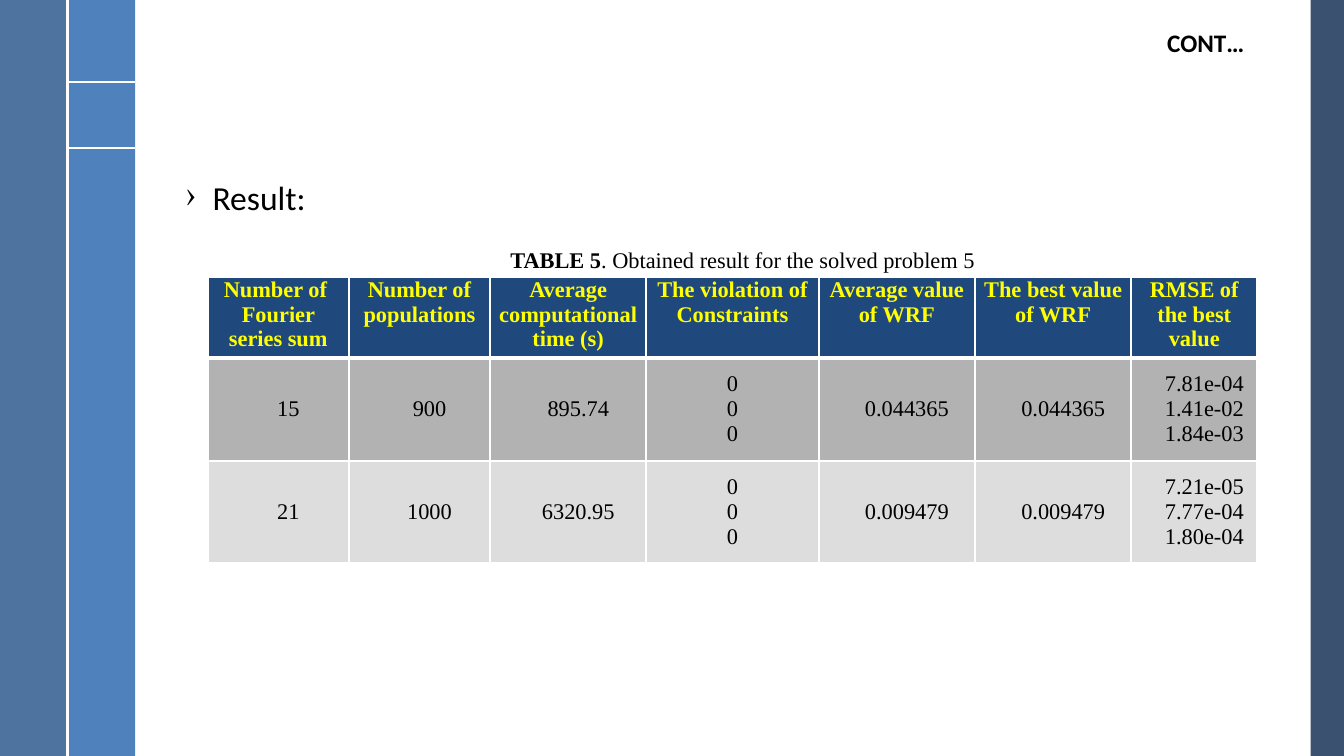
"""Build the result slide with a side band, a heading and a table."""
from dataclasses import dataclass
from lxml import etree
from pptx import Presentation
from pptx.dml.color import RGBColor
from pptx.enum.shapes import MSO_CONNECTOR, MSO_SHAPE
from pptx.enum.text import MSO_ANCHOR, PP_ALIGN
from pptx.oxml.ns import qn
from pptx.util import Inches, Pt

RECT = MSO_SHAPE.RECTANGLE
STRAIGHT = MSO_CONNECTOR.STRAIGHT
LEFT, CENTER, RIGHT = PP_ALIGN.LEFT, PP_ALIGN.CENTER, PP_ALIGN.RIGHT
TOP, MIDDLE, BOTTOM = MSO_ANCHOR.TOP, MSO_ANCHOR.MIDDLE, MSO_ANCHOR.BOTTOM


@dataclass(frozen=True)
class Theme:
    sans: str = "Calibri"
    serif: str = "Times New Roman"
    text: str = "000000"
    white: str = "FFFFFF"
    edge: str = "254061"
    band: str = "4F81BD"
    side: str = "376092"
    header: str = "1F497D"
    header_text: str = "FFFF00"
    rows: tuple = ("B2B2B2", "DDDDDD")
    title_size: int = 18
    body_size: int = 24
    table_size: int = 16
    rule: float = 1.5
    heavy_rule: float = 3


class Deck:
    def __init__(self, prs, theme):
        self.t = theme
        self.s = prs.slides.add_slide(prs.slide_layouts[6])

    def font(self, p, name, size, color, bold=None):
        p.font.name, p.font.size, p.font.bold = name, Pt(size), bold
        p.font.color.rgb = RGBColor.from_string(color)

    def rect(self, x, y, w, h, color, alpha=100):
        sp = self.s.shapes.add_shape(RECT, Inches(x), Inches(y), Inches(w), Inches(h))
        sp.shadow.inherit = False
        sp.line.fill.background()
        sp.fill.solid()
        sp.fill.fore_color.rgb = RGBColor.from_string(color)
        if alpha < 100:
            clr = sp._element.spPr.find(".//" + qn("a:srgbClr"))
            etree.SubElement(clr, qn("a:alpha"), val=str(alpha * 1000))

    def line(self, x1, y1, x2, y2):
        c = self.s.shapes.add_connector(STRAIGHT, Inches(x1), Inches(y1), Inches(x2), Inches(y2))
        c.line.color.rgb = RGBColor.from_string(self.t.white)
        c.line.width = Pt(self.t.rule)
        etree.SubElement(c._element.spPr, qn("a:effectLst"))

    def text(self, x, y, w, h, text, size, align=LEFT, anchor=TOP, bold=None):
        tf = self.s.shapes.add_textbox(Inches(x), Inches(y), Inches(w), Inches(h)).text_frame
        tf.word_wrap = True
        tf.vertical_anchor = anchor
        p = tf.paragraphs[0]
        p.text, p.alignment, p.line_spacing = text, align, 0.9
        self.font(p, self.t.sans, size, self.t.text, bold)
        return p

    def bullet(self, x, y, w, h, text, char):
        p = self.text(x, y, w, h, text, self.t.body_size)
        p.space_before = Pt(14)
        pPr = p._p.get_or_add_pPr()
        pPr.set("marL", str(Inches(0.27)))
        pPr.set("indent", str(Inches(-0.27)))
        bu = etree.Element(qn("a:buChar"), char=char)
        pPr.find(qn("a:defRPr")).addprevious(bu)

    def borders(self, cell, top, bottom):
        tcPr = cell._tc.get_or_add_tcPr()
        sides = {"lnL": self.t.rule, "lnR": self.t.rule, "lnT": top, "lnB": bottom}
        for i, (side, width) in enumerate(sides.items()):
            ln = etree.Element(qn("a:" + side), w=str(Pt(width)))
            fill = etree.SubElement(ln, qn("a:solidFill"))
            etree.SubElement(fill, qn("a:srgbClr"), val=self.t.white)
            tcPr.insert(i, ln)

    def cell(self, cell, text, fill=None, color=None, bold=False, anchor=MIDDLE, indent=0.2):
        cell.text = text
        cell.vertical_anchor = anchor
        cell.margin_left = cell.margin_right = Inches(0.07)
        cell.margin_top = cell.margin_bottom = 0
        for p in cell.text_frame.paragraphs:
            p.alignment = CENTER
            p._p.get_or_add_pPr().set("indent", str(Inches(indent)))
            self.font(p, self.t.serif, self.t.table_size, color or self.t.text, bold)
        if fill:
            cell.fill.solid()
            cell.fill.fore_color.rgb = RGBColor.from_string(fill)
        else:
            cell.fill.background()

    def table(self, x, y, widths, heights, caption, header, rows):
        t = self.t
        tbl = self.s.shapes.add_table(len(heights), len(widths), Inches(x), Inches(y),
                                      Inches(sum(widths)), Inches(sum(heights))).table
        tbl.horz_banding = tbl.first_row = False
        for col, w in zip(tbl.columns, widths):
            col.width = Inches(w)
        for row, h in zip(tbl.rows, heights):
            row.height = Inches(h)
        label, rest = caption
        top = tbl.cell(0, 0)
        top.merge(tbl.cell(0, len(widths) - 1))
        self.cell(top, label, anchor=TOP)
        p = top.text_frame.paragraphs[0]
        p.runs[0].font.bold = True
        p.add_run().text = rest
        for c, text in enumerate(header):
            self.cell(tbl.cell(1, c), text, t.header, t.header_text, True, TOP, 0)
        for r, (values, fill) in enumerate(zip(rows, t.rows), 2):
            for c, text in enumerate(values):
                indent = 0 if header[c] == "The violation of Constraints" else 0.2
                self.cell(tbl.cell(r, c), text, fill, indent=indent)
        rules = [t.rule, t.rule, t.heavy_rule, t.rule, t.rule]
        for r in range(len(heights)):
            for c in range(len(widths)):
                self.borders(tbl.cell(r, c), rules[r], rules[r + 1])


HEADER = ["Number of  Fourier series sum", "Number of populations",
          "Average computational time (s)", "The violation of Constraints",
          "Average value of WRF", "The best value of WRF", "RMSE of the best value"]
RESULTS = [
    ["15", "900", "895.74", "0\n0\n0", "0.044365", "0.044365", "7.81e-04\n1.41e-02\n1.84e-03"],
    ["21", "1000", "6320.95", "0\n0\n0", "0.009479", "0.009479", "7.21e-05\n7.77e-04\n1.80e-04"],
]

prs = Presentation()
prs.slide_width, prs.slide_height = Inches(13.33), Inches(7.5)
theme = Theme()
deck = Deck(prs, theme)

deck.rect(13, 0, 0.33, 7.5, theme.edge, 90)
deck.rect(0.67, 0, 0.67, 7.5, theme.band)
deck.rect(0, 0, 0.67, 7.5, theme.side, 88)
for y in (0.81, 1.47):
    deck.line(0.67, y, 1.34, y)
deck.line(0.67, 0, 0.67, 7.5)

deck.bullet(1.74, 1.75, 10.7, 5, "Result:", "›")
deck.table(2.06, 2.47, [1.4, 1.4, 1.55, 1.71, 1.55, 1.55, 1.25], [0.28, 0.8, 1.02, 1.02],
           ("TABLE 5", ". Obtained result for the solved problem 5"), HEADER, RESULTS)
deck.text(1.74, 0.19, 10.7, 0.43, "CONT…", theme.title_size, RIGHT, BOTTOM, True)

prs.save("out.pptx")
